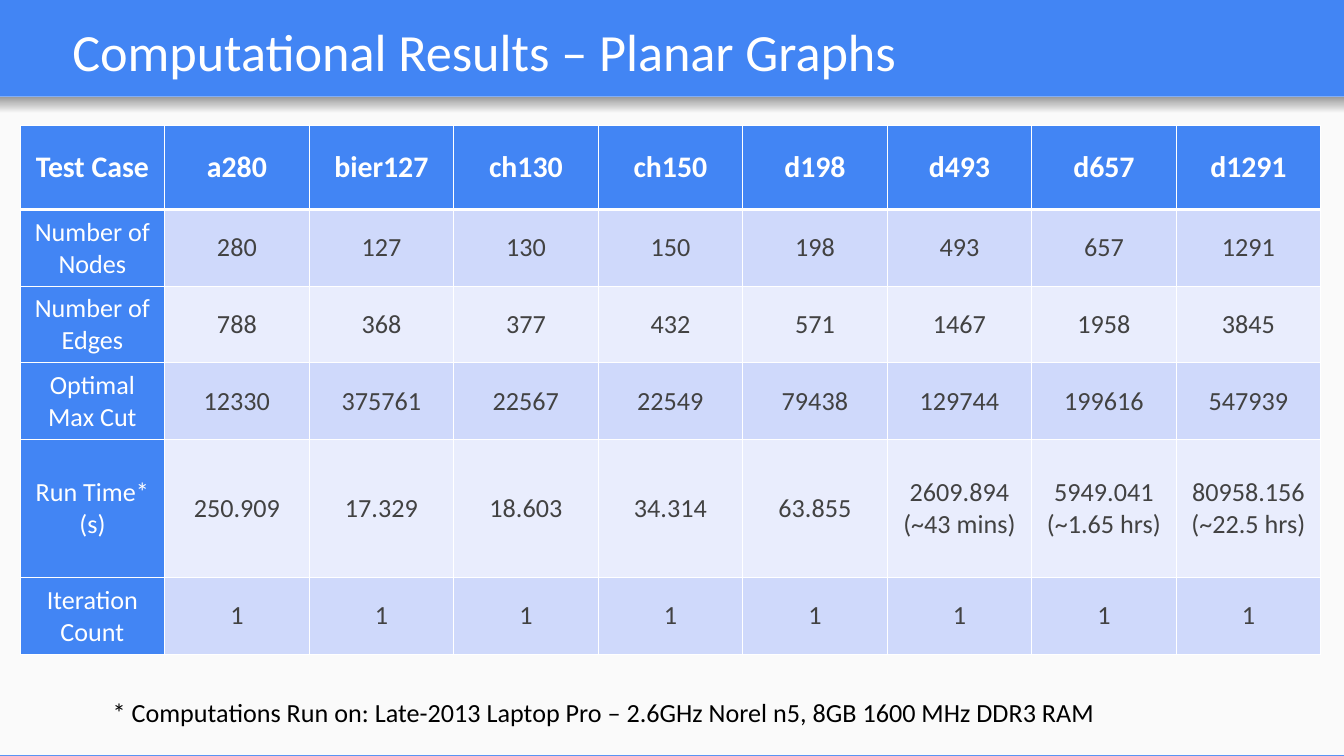
import lxml.etree
import pptx
import pptx.dml.color
import pptx.enum.shapes
import pptx.enum.text
import pptx.oxml.ns
import pptx.util

Inches = pptx.util.Inches
Pt = pptx.util.Pt
ANCHOR = pptx.enum.text.MSO_ANCHOR
ALIGN = pptx.enum.text.PP_ALIGN

TITLE = "Computational Results – Planar Graphs"
FOOTNOTE = "* Computations Run on: Late-2013 Laptop Pro – 2.6GHz Norel n5, 8GB 1600 MHz DDR3 RAM"
RESULTS = [
    ["Test Case", "a280", "bier127", "ch130", "ch150", "d198", "d493", "d657", "d1291"],
    ["Number of Nodes", "280", "127", "130", "150", "198", "493", "657", "1291"],
    ["Number of Edges", "788", "368", "377", "432", "571", "1467", "1958", "3845"],
    ["Optimal Max Cut", "12330", "375761", "22567", "22549", "79438", "129744", "199616", "547939"],
    ["Run Time* (s)", "250.909", "17.329", "18.603", "34.314", "63.855",
     "2609.894\n(~43 mins)", "5949.041\n(~1.65 hrs)", "80958.156\n(~22.5 hrs)"],
    ["Iteration Count"] + ["1"] * 8,
]
ROW_HEIGHTS = [0.63, 0.57, 0.57, 0.57, 1.03, 0.57]
PAGE_WIDTH = 10
PAGE_HEIGHT = PAGE_WIDTH * 9 / 16
TABLE_LEFT, TABLE_TOP, TABLE_WIDTH = 0.15, 0.93, 9.68
THIN, THICK = 0.45, 1.47
FONT = "Calibri"
COLORS = {
    "blue": "4285F4",
    "panel": "FAFAFA",
    "shade": "999999",
    "shade_end": "F9F9F9",
    "white": "FFFFFF",
    "black": "000000",
    "body": "424242",
    "odd_row": "CFD9FB",
    "even_row": "E9EDFD",
}


def rgb(name):
    return pptx.dml.color.RGBColor.from_string(COLORS[name])


def paint(fill, color):
    fill.solid()
    fill.fore_color.rgb = rgb(color)


def write(frame, text, size, color, bold=False, align=ALIGN.LEFT):
    for index, line in enumerate(text.split("\n")):
        para = frame.add_paragraph() if index else frame.paragraphs[0]
        para.alignment = align
        span = para.add_run()
        span.text = line
        span.font.name = FONT
        span.font.size = Pt(size)
        span.font.bold = bold
        span.font.color.rgb = rgb(color)


def add_rectangle(page, top, height):
    shape = page.shapes.add_shape(pptx.enum.shapes.MSO_SHAPE.RECTANGLE,
                                  0, Inches(top), Inches(PAGE_WIDTH), Inches(height))
    shape.shadow.inherit = False
    shape.line.fill.background()
    return shape


def add_text(page, place, text, size, color, anchor, margin):
    box = page.shapes.add_textbox(*[Inches(value) for value in place])
    frame = box.text_frame
    frame.word_wrap = True
    frame.vertical_anchor = anchor
    frame.margin_left = frame.margin_right = Inches(0.1)
    frame.margin_top = frame.margin_bottom = Inches(margin)
    write(frame, text, size, color)


def add_border(cell, side, width):
    qn = pptx.oxml.ns.qn
    properties = cell._tc.get_or_add_tcPr()
    line = lxml.etree.SubElement(properties, qn(f"a:ln{side}"), w=str(Pt(width)))
    solid = lxml.etree.SubElement(line, qn("a:solidFill"))
    lxml.etree.SubElement(solid, qn("a:srgbClr"), val=COLORS["white"])


def add_results(page):
    count = len(RESULTS[0])
    table = page.shapes.add_table(
        len(RESULTS), count, Inches(TABLE_LEFT), Inches(TABLE_TOP),
        Inches(TABLE_WIDTH), Inches(sum(ROW_HEIGHTS))).table
    for column in table.columns:
        column.width = Inches(TABLE_WIDTH / count)
    for row, values in enumerate(RESULTS):
        table.rows[row].height = Inches(ROW_HEIGHTS[row])
        header = row == 0
        for column, text in enumerate(values):
            cell = table.cell(row, column)
            label = header or column == 0
            widths = {"L": THIN, "R": THIN,
                      "T": THICK if row == 1 else THIN,
                      "B": THICK if header else THIN}
            for side, width in widths.items():
                add_border(cell, side, width)
            band = "odd_row" if row % 2 else "even_row"
            paint(cell.fill, "blue" if label else band)
            cell.vertical_anchor = ANCHOR.MIDDLE
            write(cell.text_frame, text, 16 if header else 14,
                  "white" if label else "body", header, ALIGN.CENTER)


def main():
    deck = pptx.Presentation()
    deck.slide_width, deck.slide_height = Inches(PAGE_WIDTH), Inches(PAGE_HEIGHT)
    page = deck.slides.add_slide(deck.slide_layouts[6])
    paint(page.background.fill, "blue")

    panel = add_rectangle(page, 0.72, 4.9)
    paint(panel.fill, "panel")
    shade = add_rectangle(page, 0.72, 0.12)
    shade.fill.gradient()
    shade.fill.gradient_angle = 270
    for stop, color in zip(shade.fill.gradient_stops, ["shade", "shade_end"]):
        stop.color.rgb = rgb(color)

    add_text(page, (0.44, 0, 8.82, 0.71), TITLE, 28, "white", ANCHOR.BOTTOM, 0.1)
    add_text(page, (0.74, 5.13, 8.63, 0.34), FOOTNOTE, 14, "black", ANCHOR.TOP, 0.05)
    add_results(page)
    deck.save("out.pptx")


if __name__ == "__main__":
    main()
